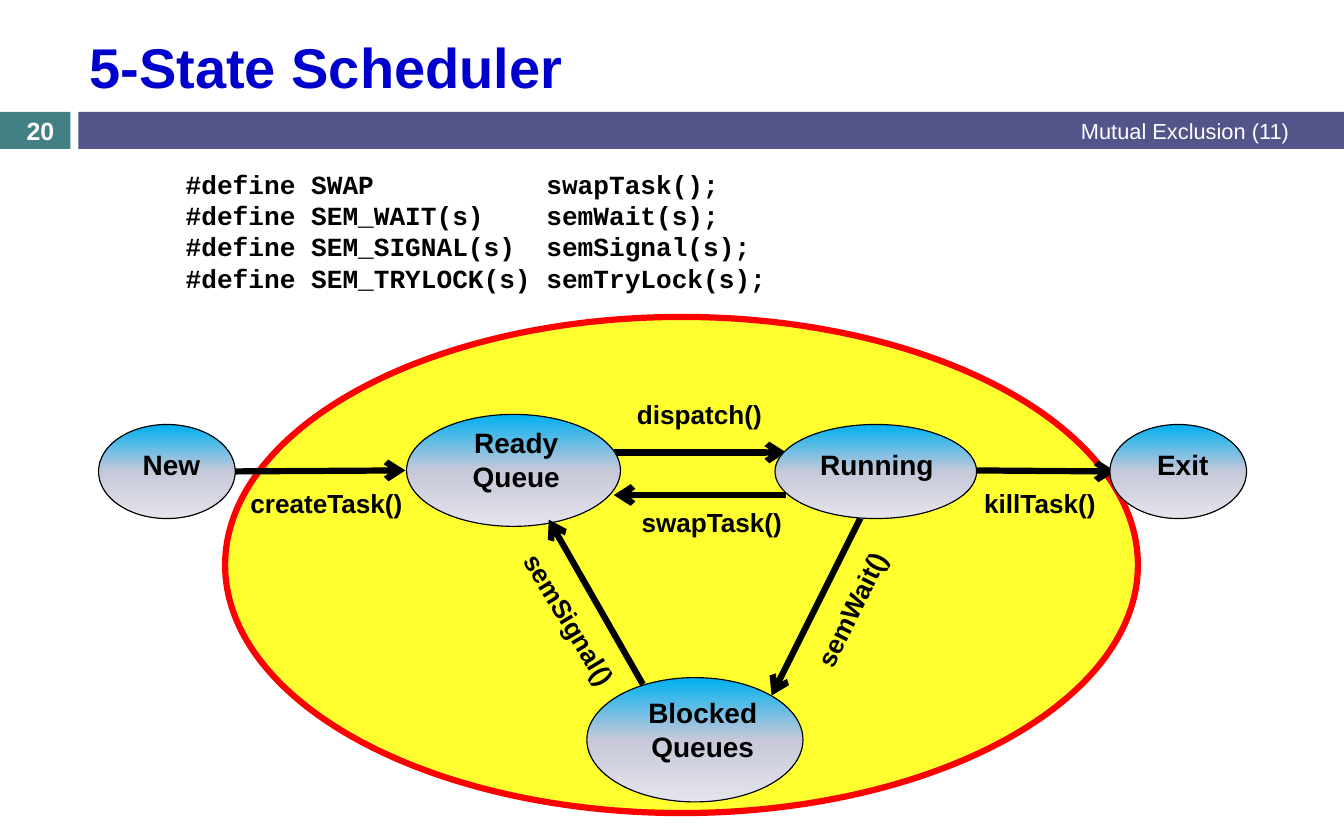
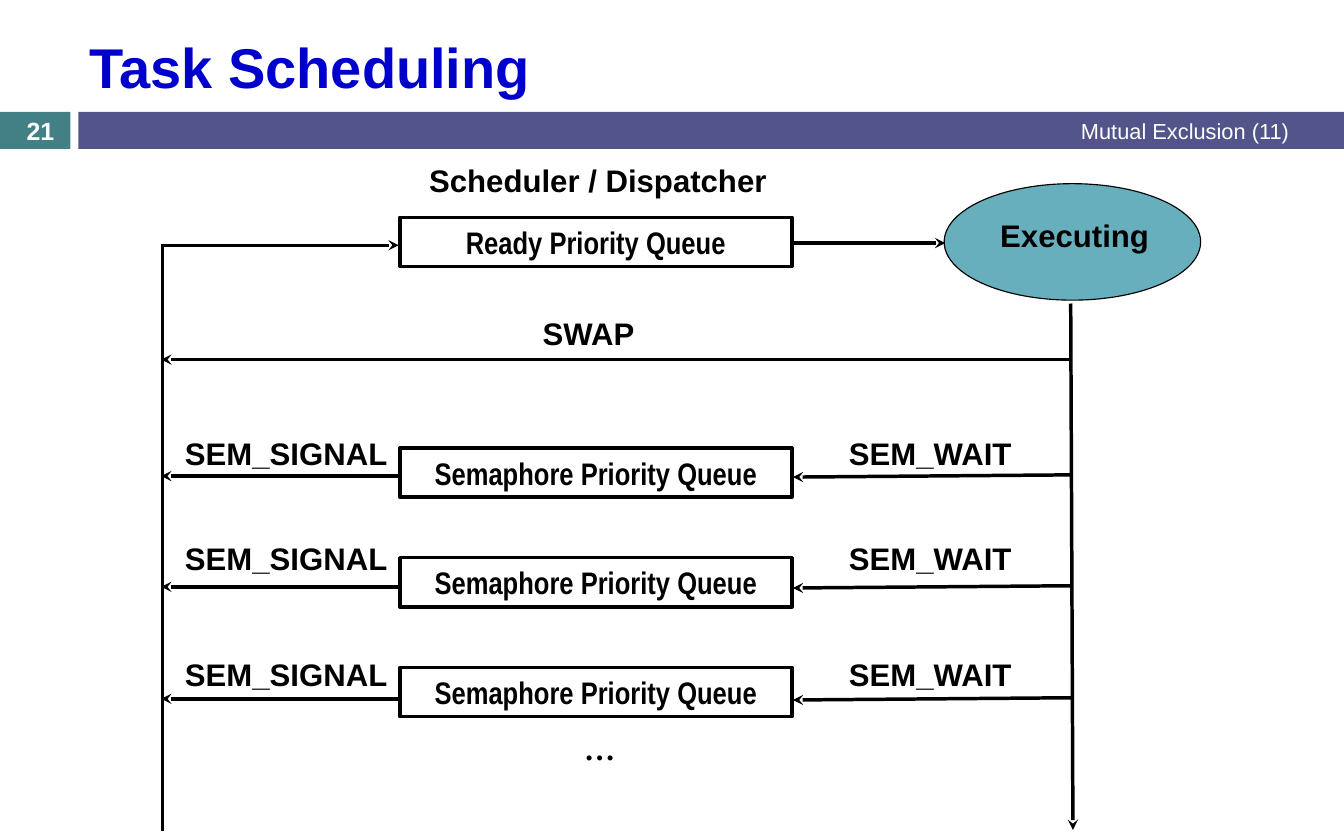
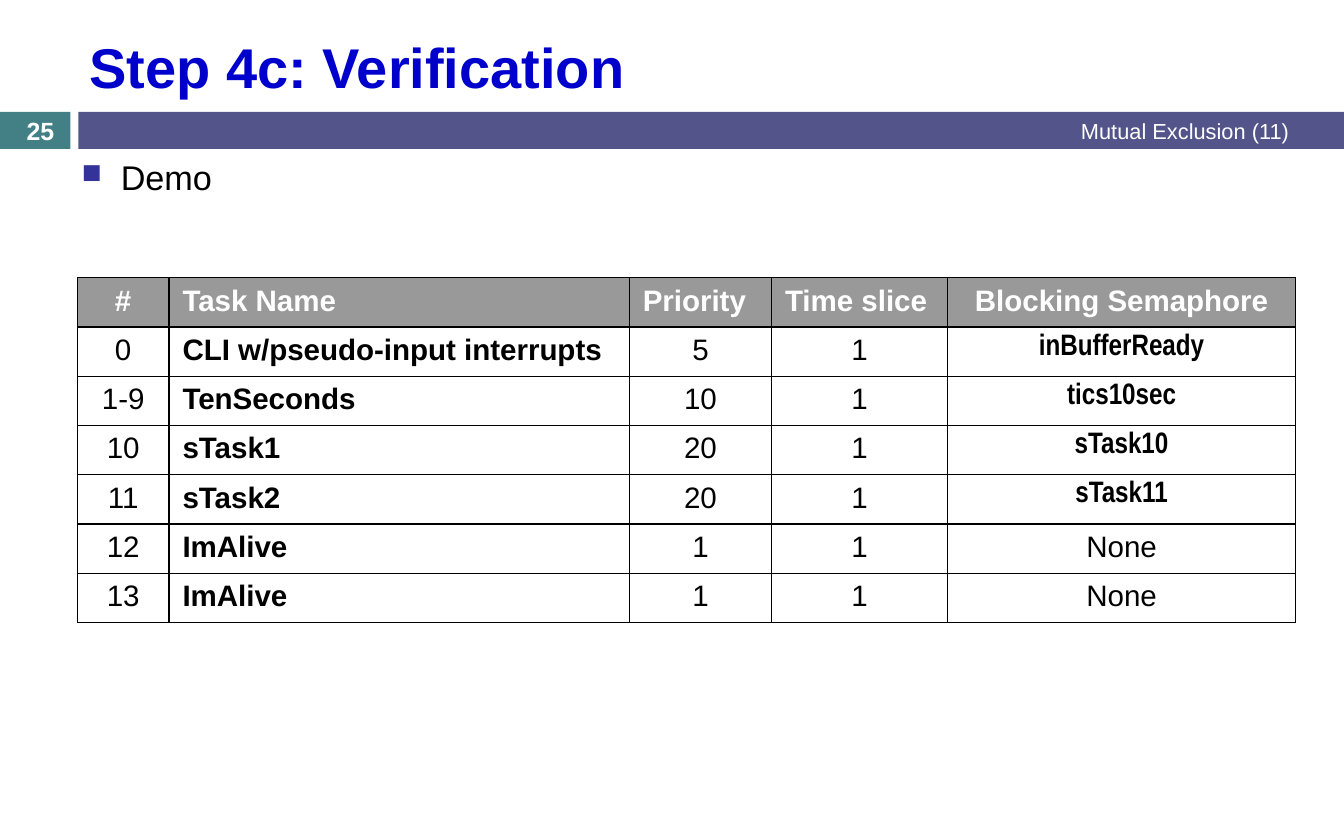
"""Build three slides on task scheduling, states and verification."""
from dataclasses import dataclass

from lxml import etree
from pptx import Presentation
from pptx import util as u
from pptx.dml.color import RGBColor
from pptx.enum import shapes, text
from pptx.oxml.ns import qn


@dataclass(frozen=True)
class Theme:
    ink: RGBColor = RGBColor.from_string("000000")
    white: RGBColor = RGBColor.from_string("FFFFFF")
    heading: RGBColor = RGBColor.from_string("0000CC")
    teal: RGBColor = RGBColor.from_string("438086")
    indigo: RGBColor = RGBColor.from_string("53548A")
    system: RGBColor = RGBColor.from_string("FFFF00")
    border: RGBColor = RGBColor.from_string("FF0000")
    executing: RGBColor = RGBColor.from_string("67AFBD")
    header: RGBColor = RGBColor.from_string("999999")
    bullet: str = "333399"
    state: tuple = ((0, "00B0F0"), (50, "C7C8D9"), (100, "E4E4EC"))
    sans: str = "Arial"
    narrow: str = "Arial Narrow"
    code: str = "Courier New"
    serif: str = "Times New Roman"
    title_size: float = 36
    body_size: float = 22
    flow_size: float = 20
    cell_size: float = 19
    state_size: float = 18
    call_size: float = 16.8
    number_size: float = 16
    footer_size: float = 14


theme = Theme()
LEFT, CENTER, RIGHT = text.PP_ALIGN.LEFT, text.PP_ALIGN.CENTER, text.PP_ALIGN.RIGHT
TOP, MIDDLE = text.MSO_ANCHOR.TOP, text.MSO_ANCHOR.MIDDLE
RECTANGLE, OVAL = shapes.MSO_SHAPE.RECTANGLE, shapes.MSO_SHAPE.OVAL


def write(frame, content, size, color=theme.ink, font=theme.sans, bold=True, align=CENTER, anchor=TOP):
    frame.word_wrap = True
    frame.vertical_anchor = anchor
    frame.text = content
    for paragraph in frame.paragraphs:
        paragraph.alignment = align
        paragraph.font.size = u.Pt(size)
        paragraph.font.name = font
        paragraph.font.bold = bold
        paragraph.font.color.rgb = color
    return frame.paragraphs


def connect(slide, start, end, width, head=None):
    link = slide.shapes.add_connector(
        shapes.MSO_CONNECTOR.STRAIGHT, *map(u.Inches, (*start, *end)))
    link.line.color.rgb = theme.ink
    link.line.width = u.Pt(width)
    properties = link._element.spPr
    if head:
        etree.SubElement(properties.find(qn("a:ln")), qn("a:tailEnd"), type=head)
    etree.SubElement(properties, qn("a:effectLst"))


deck = Presentation()
deck.slide_width, deck.slide_height = u.Inches(12), u.Inches(7.5)

for number, heading in (("20", "5-State Scheduler"), ("21", "Task Scheduling"),
                        ("25", "Step 4c: Verification")):
    slide = deck.slides.add_slide(deck.slide_layouts[6])
    for left, width, color in ((0, 0.63, theme.teal), (0.7, 11.3, theme.indigo)):
        band = slide.shapes.add_shape(RECTANGLE, *map(u.Inches, (left, 1, width, 0.33)))
        band.shadow.inherit = False
        band.fill.solid()
        band.fill.fore_color.rgb = color
        band.line.fill.background()
    for place, content, size, color, bold, align in (
        ((0.7, 0.19, 10.91, 0.8), heading, theme.title_size, theme.heading, True, LEFT),
        ((4.5, 0.99, 7.11, 0.35), "Mutual Exclusion (11)", theme.footer_size, theme.white, False, RIGHT),
        ((0, 1.02, 0.72, 0.3), number, theme.number_size, theme.white, True, CENTER),
    ):
        frame = slide.shapes.add_textbox(*map(u.Inches, place)).text_frame
        write(frame, content, size, color, bold=bold, align=align, anchor=MIDDLE)

states, flow, verification = deck.slides

system = states.shapes.add_shape(OVAL, *map(u.Inches, (2.01, 2.83, 8.15, 4.43)))
system.shadow.inherit = False
system.fill.solid()
system.fill.fore_color.rgb = theme.system
etree.SubElement(system._element.spPr.find(".//" + qn("a:srgbClr")), qn("a:alpha"), val="81000")
system.line.color.rgb = theme.border
system.line.width = u.Pt(4)

macros = (("SWAP", "swapTask();"), ("SEM_WAIT(s)", "semWait(s);"),
          ("SEM_SIGNAL(s)", "semSignal(s);"), ("SEM_TRYLOCK(s)", "semTryLock(s);"))
defines = states.shapes.add_textbox(*map(u.Inches, (1.56, 1.45, 7.52, 1.23))).text_frame
listing = "\n".join(f"#define {macro}\t{call}" for macro, call in macros)
for line in write(defines, listing, theme.call_size, font=theme.code, align=LEFT):
    tabs = etree.Element(qn("a:tabLst"))
    etree.SubElement(tabs, qn("a:tab"), pos=str(u.Inches(3.22)), algn="l")
    line._p.pPr.find(qn("a:defRPr")).addprevious(tabs)

for start, end in (
    ((7.76, 4.47), (6.89, 6.21)),
    ((1.95, 4.21), (3.62, 4.2)),
    ((8.67, 4.2), (9.96, 4.21)),
    ((5.48, 4.04), (7.02, 4.04)),
    ((7.02, 4.42), (5.48, 4.42)),
):
    connect(states, start, end, 4, "arrow")

for state, outline, place in (
    ("Blocked\nQueues", (5.24, 6.05, 1.93, 1.11), (5.26, 6.16, 2.03, 0.91)),
    ("New", (0.88, 3.79, 1.22, 0.84), (0.89, 3.95, 1.28, 0.5)),
    ("Ready\nQueue", (3.63, 3.7, 1.91, 1), (3.61, 3.75, 2, 0.91)),
    ("Running", (6.92, 3.79, 1.8, 0.84), (7, 3.95, 1.66, 0.5)),
    ("Exit", (9.91, 3.79, 1.22, 0.84), (9.92, 3.95, 1.28, 0.5)),
):
    bubble = states.shapes.add_shape(OVAL, *map(u.Inches, outline))
    bubble.shadow.inherit = False
    bubble.line.color.rgb = theme.ink
    bubble.line.width = u.Pt(0.75)
    bubble.fill.gradient()
    bubble.fill.gradient_angle = 270
    stops = bubble._element.spPr.find(".//" + qn("a:gsLst"))
    stops.clear()
    for percent, color in theme.state:
        stop = etree.SubElement(stops, qn("a:gs"), pos=str(percent * 1000))
        etree.SubElement(stop, qn("a:srgbClr"), val=color)
    frame = states.shapes.add_textbox(*map(u.Inches, place)).text_frame
    write(frame, state, theme.state_size)

connect(states, (5.74, 6.11), (4.9, 4.64), 4, "arrow")

for call, left, top, width, turn in (
    ("createTask()", 1.95, 4.3, 1.93, 0),
    ("dispatch()", 5.28, 3.51, 1.93, 0),
    ("swapTask()", 5.39, 4.47, 1.93, 0),
    ("killTask()", 8.32, 4.3, 1.93, 0),
    ("semWait()", 6.58, 5.25, 2.04, 296.3),
    ("semSignal()", 4.21, 5.34, 1.75, 59),
):
    caption = states.shapes.add_textbox(*map(u.Inches, (left, top, width, 0.38)))
    caption.rotation = turn
    write(caption.text_frame, call, theme.call_size)

queues = [("Ready Priority Queue", 1.94)]
labels = [("Scheduler / Dispatcher", 3.51, 1.39, 3.66), ("SWAP", 4.36, 2.76, 1.79)]
links = [
    ((9.56, 3.21), (1.44, 3.21), "stealth"),
    ((1.44, 2.19), (3.56, 2.19), "stealth"),
    ((1.45, 2.18), (1.45, 7.42), None),
    ((9.56, 2.71), (9.58, 7.41), "stealth"),
    ((7.08, 2.17), (8.44, 2.17), "stealth"),
]
for row, (label_top, level) in enumerate(((3.83, 4.25), (4.77, 5.24), (5.8, 6.24))):
    queues.append(("Semaphore Priority Queue", 4 + 0.98 * row))
    labels += [("SEM_SIGNAL", 1.45, label_top, 2.21), ("SEM_WAIT", 7.2, label_top, 2.21)]
    links += [((3.56, level), (1.44, level), "stealth"),
              ((9.57, level - 0.01), (7.08, level + 0.01), "stealth")]

for queue, top in queues:
    box = flow.shapes.add_shape(RECTANGLE, *map(u.Inches, (3.57, top, 3.5, 0.44)))
    box.shadow.inherit = False
    box.fill.background()
    box.line.color.rgb = theme.ink
    box.line.width = u.Pt(2.25)
    write(box.text_frame, queue, theme.flow_size, font=theme.narrow, anchor=MIDDLE)

for start, end, head in links:
    connect(flow, start, end, 2.25, head)

executing = flow.shapes.add_shape(OVAL, *map(u.Inches, (8.43, 1.64, 2.29, 1.04)))
executing.shadow.inherit = False
executing.fill.solid()
executing.fill.fore_color.rgb = theme.executing
executing.line.color.rgb = theme.ink
executing.line.width = u.Pt(0.75)
labels.append(("Executing", 8.47, 1.88, 2.25))

for label, left, top, width in labels:
    frame = flow.shapes.add_textbox(*map(u.Inches, (left, top, width, 0.44))).text_frame
    write(frame, label, theme.flow_size)
more = flow.shapes.add_textbox(*map(u.Inches, (4.04, 6.46, 2.63, 0.44))).text_frame
write(more, "…", theme.flow_size, font=theme.serif)

body = verification.shapes.add_textbox(*map(u.Inches, (0.63, 1.35, 10.99, 5.86))).text_frame
demo = write(body, "Demo", theme.body_size, bold=False, align=LEFT)[0]
demo.space_before = u.Pt(7)
demo_properties = demo._p.pPr
demo_properties.set("marL", str(u.Inches(0.35)))
demo_properties.set("indent", str(u.Inches(-0.35)))
bullet_color = etree.Element(qn("a:buClr"))
etree.SubElement(bullet_color, qn("a:srgbClr"), val=theme.bullet)
for part in (bullet_color, etree.Element(qn("a:buSzPct"), val="80000"),
             etree.Element(qn("a:buChar"), char="■")):
    demo_properties.find(qn("a:defRPr")).addprevious(part)

tasks = (
    ("#", "Task Name", "Priority", "Time slice", "Blocking Semaphore"),
    ("0", "CLI w/pseudo-input interrupts", "5", "1", "inBufferReady"),
    ("1-9", "TenSeconds", "10", "1", "tics10sec"),
    ("10", "sTask1", "20", "1", "sTask10"),
    ("11", "sTask2", "20", "1", "sTask11"),
    ("12", "ImAlive", "1", "1", "None"),
    ("13", "ImAlive", "1", "1", "None"),
)
task_table = verification.shapes.add_table(
    len(tasks), len(tasks[0]), *map(u.Inches, (0.69, 2.48, 10.88, 3.08))).table
task_table.first_row = task_table.horz_banding = False
for column, width in zip(task_table.columns, (0.82, 4.11, 1.27, 1.57, 3.11)):
    column.width = u.Inches(width)
for row, task in enumerate(tasks):
    task_table.rows[row].height = u.Inches(0.44)
    for column, value in enumerate(task):
        cell = task_table.cell(row, column)
        cell.margin_left = cell.margin_right = u.Inches(0.12)
        cell.margin_top = cell.margin_bottom = u.Inches(0.06)
        for side in ("a:lnL", "a:lnR", "a:lnT", "a:lnB"):
            edge = etree.SubElement(cell._tc.get_or_add_tcPr(), qn(side), w=str(u.Pt(1)))
            paint = etree.SubElement(edge, qn("a:solidFill"))
            etree.SubElement(paint, qn("a:srgbClr"), val=str(theme.ink))
        is_header = row == 0
        is_semaphore = column == 4 and not is_header and value != "None"
        if is_header:
            cell.fill.solid()
            cell.fill.fore_color.rgb = theme.header
        else:
            cell.fill.background()
        write(cell.text_frame, value, theme.cell_size,
              color=theme.white if is_header else theme.ink,
              font=theme.narrow if is_semaphore else theme.sans,
              bold=is_header or is_semaphore or column == 1,
              align=LEFT if column == 1 or is_header and column in (2, 3) else CENTER)

deck.save("out.pptx")
